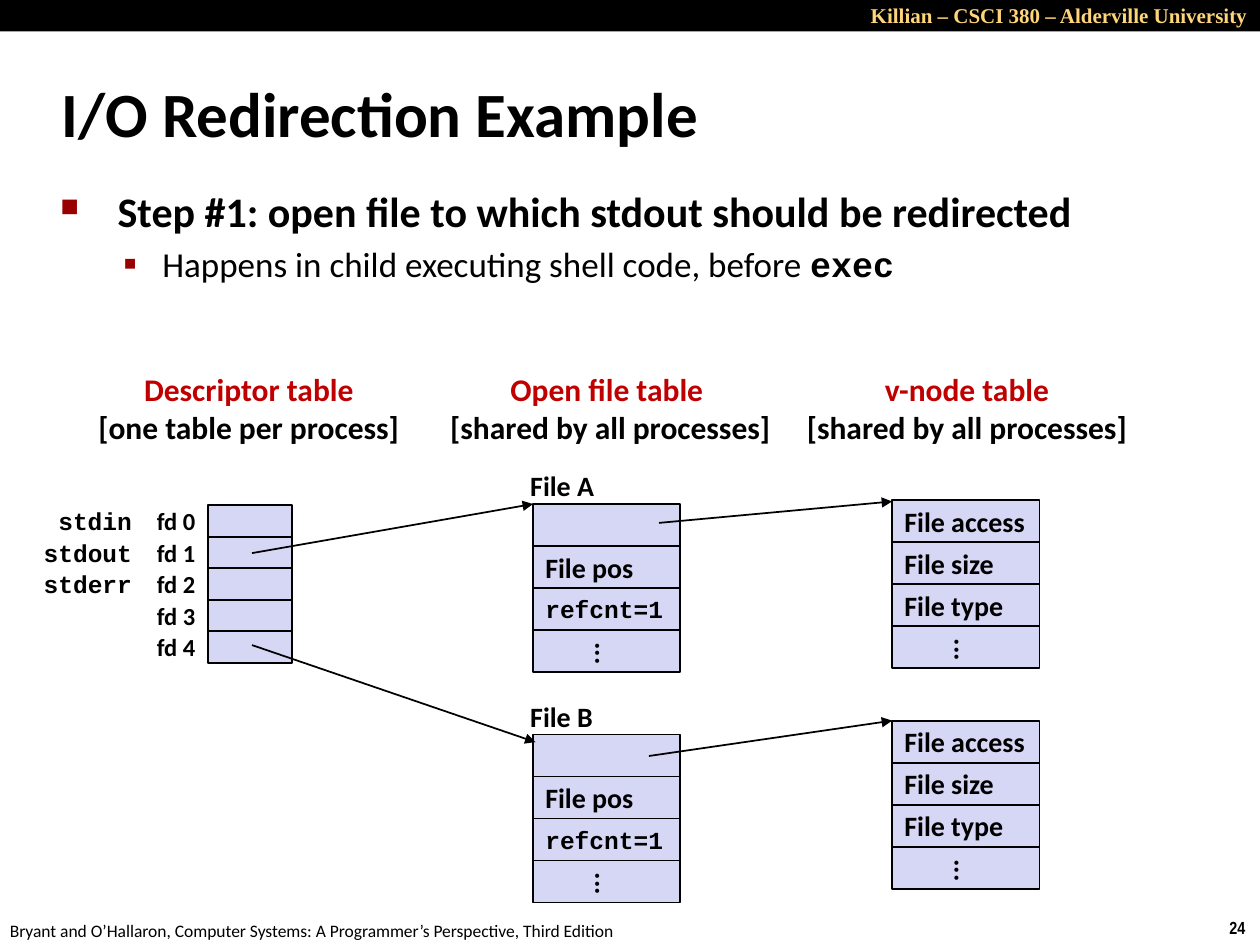
import pptx
import pptx.util
import pptx.dml.color
import pptx.enum.shapes
import pptx.enum.text
import pptx.oxml
import pptx.oxml.ns

Inches = pptx.util.Inches
Pt = pptx.util.Pt
ALIGN = pptx.enum.text.PP_ALIGN
ANCHOR = pptx.enum.text.MSO_ANCHOR
COLORS = {
    "black": "000000",
    "gold": "FFD579",
    "cell": "D6D6F5",
    "heading": "C00000",
    "bullet": "990000",
}
CODE = "Courier New"
ROW = 1 / 3
SLOT = 0.25


def rgb(name):
    return pptx.dml.color.RGBColor.from_string(COLORS[name])


def style(run, size, font="Calibri", color="black", bold=True):
    run.font.size = Pt(size)
    run.font.name = font
    run.font.bold = bold
    run.font.color.rgb = rgb(color)


def write(frame, text, size, font="Calibri", color="black", bold=True,
          align=ALIGN.LEFT, anchor=ANCHOR.MIDDLE, wrap=False):
    frame.text = text
    frame.word_wrap = wrap
    frame.vertical_anchor = anchor
    for paragraph in frame.paragraphs:
        paragraph.alignment = align
        for run in paragraph.runs:
            style(run, size, font, color, bold)


def label(slide, box, text, size, **options):
    frame = slide.shapes.add_textbox(*map(Inches, box)).text_frame
    write(frame, text, size, **options)
    return frame


def rectangle(slide, box, fill, outlined=True):
    shape = slide.shapes.add_shape(
        pptx.enum.shapes.MSO_SHAPE.RECTANGLE, *map(Inches, box))
    shape.shadow.inherit = False
    shape.fill.solid()
    shape.fill.fore_color.rgb = rgb(fill)
    if outlined:
        shape.line.color.rgb = rgb("black")
        shape.line.width = Pt(1)
    else:
        shape.line.fill.background()
    return shape


def arrow(slide, start, end):
    pointer = slide.shapes.add_connector(
        pptx.enum.shapes.MSO_CONNECTOR.STRAIGHT, *map(Inches, start + end))
    pointer.line.color.rgb = rgb("black")
    pointer.line.width = Pt(1)
    tail = pptx.oxml.parse_xml(
        f'<a:tailEnd {pptx.oxml.ns.nsdecls("a")} type="triangle"/>')
    pointer.line._get_or_add_ln().append(tail)
    effects = pptx.oxml.parse_xml(f'<a:effectLst {pptx.oxml.ns.nsdecls("a")}/>')
    pointer._element.spPr.append(effects)


def bullet(paragraph, mark, scale, margin, hanging, space, font):
    paragraph.space_before = Pt(space)
    props = paragraph._p.get_or_add_pPr()
    props.set("marL", str(Inches(margin)))
    props.set("indent", str(-Inches(hanging)))
    ns = pptx.oxml.ns.nsdecls("a")
    for xml in (
        f'<a:buClr {ns}><a:srgbClr val="{COLORS["bullet"]}"/></a:buClr>',
        f'<a:buSzPct {ns} val="{scale * 1000}"/>',
        f'<a:buFont {ns} {font}/>',
        f'<a:buChar {ns} char="{mark}"/>',
    ):
        props.append(pptx.oxml.parse_xml(xml))


def page_frame(slide, width, height):
    rectangle(slide, (0, 0, width, 0.25), "black", outlined=False)
    label(slide, (width - 3.33, -0.03, 3.33, 0.3),
          "Killian – CSCI 380 – Alderville University", 12,
          font="Times New Roman", color="gold", align=ALIGN.RIGHT,
          anchor=ANCHOR.TOP, wrap=True)
    label(slide, (width - 0.34, height - 0.27, 0.34, 0.27), "24", 10,
          font="Arial Narrow", anchor=ANCHOR.TOP)
    label(slide, (-0.02, height - 0.25, 5.08, 0.27),
          "Bryant and O’Hallaron, Computer Systems: "
          "A Programmer’s Perspective, Third Edition",
          10, bold=False, anchor=ANCHOR.TOP)


def step_text(slide, box):
    frame = label(slide, box,
                  " Step #1: open file to which stdout should be redirected\n"
                  "Happens in child executing shell code, before ",
                  24, anchor=ANCHOR.TOP, wrap=True)
    step, detail = frame.paragraphs
    bullet(step, "n", 60, 0.38, 0.38, 5,
           'typeface="Wingdings" pitchFamily="2" charset="2"')
    detail.level = 1
    style(detail.runs[0], 20, bold=False)
    command = detail.add_run()
    command.text = "exec"
    style(command, 20, CODE)
    bullet(detail, "▪", 110, 0.81, 0.31, 4, 'typeface="Calibri"')


def heading(slide, box, name, scope):
    frame = label(slide, box, f"{name}\n{scope}", 18, align=ALIGN.CENTER)
    style(frame.paragraphs[0].runs[0], 18, color="heading")


def descriptor_table(slide, left, top):
    for index in range(5):
        y = top + index * SLOT
        rectangle(slide, (left, y, 0.67, SLOT), "cell")
        label(slide, (left - 0.67, y, 0.67, SLOT), f"fd {index}", 14,
              align=ALIGN.RIGHT)
    for index, stream in enumerate(("stdin", "stdout", "stderr")):
        width = 0.2 + 0.117 * len(stream)
        label(slide, (left - 0.5 - width, top - 0.04 + index * SLOT, width, 0.33),
              stream, 14, font=CODE)


def record(slide, left, top, fields):
    for index, field in enumerate(fields):
        cell = rectangle(slide, (left, top + index * ROW, 1.17, ROW), "cell")
        if not field:
            continue
        is_code = "=" in field
        write(cell.text_frame, field, 14 if is_code else 16,
              font=CODE if is_code else "Calibri")
        if field == "...":
            cell.text_frame._txBody.bodyPr.set("vert", "eaVert")


def file_entry(slide, left, top, name, node_top):
    label(slide, (left - 0.12, top - 0.33, 0.71, 0.37), name, 16)
    record(slide, left, top, ("", "File pos", "refcnt=1", "..."))
    record(slide, left + 2.85, node_top,
           ("File access", "File size", "File type", "..."))


presentation = pptx.Presentation()
presentation.slide_width = Inches(10)
presentation.slide_height = Inches(7.5)
slide = presentation.slides.add_slide(presentation.slide_layouts[6])

page_frame(slide, 10, 7.5)
label(slide, (0.39, 0.48, 8.3, 0.83), "I/O Redirection Example", 36, wrap=True)
step_text(slide, (0.38, 1.42, 9.35, 1.08))

for left, width, name, scope in (
    (0.67, 2.61, "Descriptor table", "[one table per process]"),
    (3.46, 2.77, "Open file table ", "[shared by all processes]"),
    (6.29, 2.77, "v-node table", "[shared by all processes]"),
):
    heading(slide, (left, 2.88, width, 0.71), name, scope)

descriptor_table(slide, 1.65, 4.01)
file_entry(slide, 4.23, 4, "File A", 3.97)
file_entry(slide, 4.23, 5.83, "File B", 5.72)

for start, end in (
    ((2, 4.39), (4.23, 4)),
    ((5.23, 4.15), (7.08, 3.98)),
    ((2, 5.12), (4.25, 5.89)),
    ((5.15, 6), (7.08, 5.72)),
):
    arrow(slide, start, end)

presentation.save("out.pptx")
